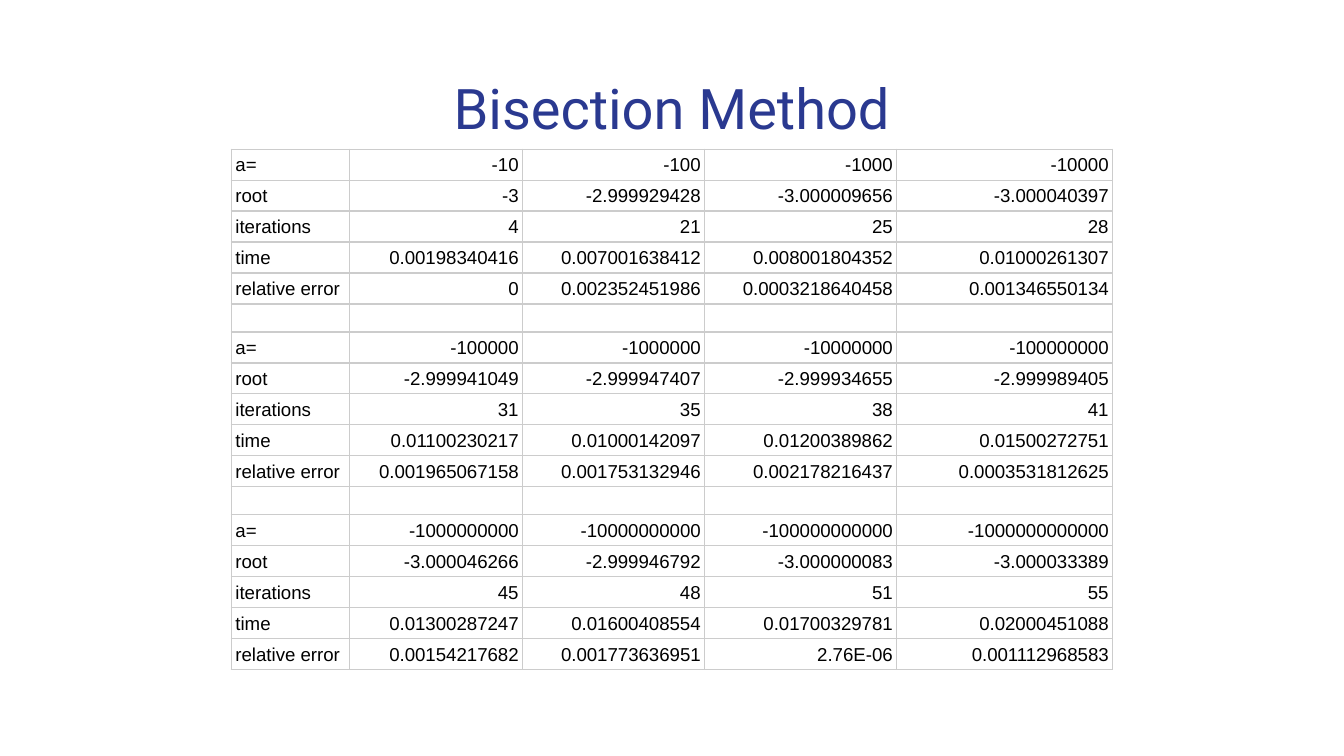
from pptx import Presentation
from pptx.dml.color import RGBColor
from pptx.enum.text import MSO_ANCHOR, PP_ALIGN
from pptx.oxml import parse_xml
from pptx.oxml.ns import nsdecls
from pptx.util import Cm, Pt

# Content
TITLE = "Bisection Method"
LABELS = ["a=", "root", "iterations", "time", "relative error"]
RUNS = [
    [
        ["-10", "-100", "-1000", "-10000"],
        ["-3", "-2.999929428", "-3.000009656", "-3.000040397"],
        ["4", "21", "25", "28"],
        ["0.00198340416", "0.007001638412", "0.008001804352", "0.01000261307"],
        ["0", "0.002352451986", "0.0003218640458", "0.001346550134"],
    ],
    [
        ["-100000", "-1000000", "-10000000", "-100000000"],
        ["-2.999941049", "-2.999947407", "-2.999934655", "-2.999989405"],
        ["31", "35", "38", "41"],
        ["0.01100230217", "0.01000142097", "0.01200389862", "0.01500272751"],
        ["0.001965067158", "0.001753132946", "0.002178216437", "0.0003531812625"],
    ],
    [
        ["-1000000000", "-10000000000", "-100000000000", "-1000000000000"],
        ["-3.000046266", "-2.999946792", "-3.000000083", "-3.000033389"],
        ["45", "48", "51", "55"],
        ["0.01300287247", "0.01600408554", "0.01700329781", "0.02000451088"],
        ["0.00154217682", "0.001773636951", "2.76E-06", "0.001112968583"],
    ],
]
COLORS = {"title": "2A3990", "text": "000000", "grid": "CCCCCC"}
WIDTHS = [2.23, 3.27, 3.44, 3.63, 4.08]
HEIGHT = 0.53
PAD = Cm(0.08)


def add_run(para, text, font, size, color):
    run = para.add_run()
    run.text = text
    run.font.name = font
    run.font.size = Pt(size)
    run.font.color.rgb = RGBColor.from_string(COLORS[color])


def add_grid(cell):
    props = cell._tc.get_or_add_tcPr()
    for i, side in enumerate(("lnL", "lnR", "lnT", "lnB")):
        props.insert(i, parse_xml(
            f'<a:{side} {nsdecls("a")} w="{Pt(0.75)}"><a:solidFill>'
            f'<a:srgbClr val="{COLORS["grid"]}"/></a:solidFill></a:{side}>'))


def fill_cell(cell, text, align):
    cell.fill.background()
    add_grid(cell)
    cell.margin_left, cell.margin_right = PAD, Cm(0.07)
    cell.margin_top = cell.margin_bottom = PAD
    cell.vertical_anchor = MSO_ANCHOR.BOTTOM
    para = cell.text_frame.paragraphs[0]
    para.alignment = align
    if text:
        para.line_spacing = 1.0
        add_run(para, text, "Arial", 10, "text")
    else:
        # A small end mark keeps the empty row at its set height
        para._p.append(parse_xml(f'<a:endParaRPr {nsdecls("a")} sz="800"/>'))


deck = Presentation()
deck.slide_width, deck.slide_height = Cm(25.4), Cm(14.29)
slide = deck.slides.add_slide(deck.slide_layouts[6])

# Title
box = slide.shapes.add_textbox(Cm(0.86), Cm(1.14), Cm(23.67), Cm(1.68))
frame = box.text_frame
frame.word_wrap = True
frame.margin_left = frame.margin_right = Cm(0.25)
frame.margin_top = frame.margin_bottom = Cm(0.25)
frame.vertical_anchor = MSO_ANCHOR.TOP
head = frame.paragraphs[0]
head.alignment = PP_ALIGN.CENTER
add_run(head, TITLE, "Roboto", 30, "title")

# Rows: the groups of results, with an empty row between them
rows = []
for group in RUNS:
    if rows:
        rows.append([""] * len(WIDTHS))
    rows += [[label, *vals] for label, vals in zip(LABELS, group)]

# Table
shape = slide.shapes.add_table(
    len(rows), len(WIDTHS), Cm(4.37), Cm(2.82),
    Cm(sum(WIDTHS)), Cm(HEIGHT * len(rows)))
table = shape.table
table.first_row = table.horz_banding = False
for col, width in zip(table.columns, WIDTHS):
    col.width = Cm(width)
for r, row in enumerate(rows):
    table.rows[r].height = Cm(HEIGHT)
    for c, text in enumerate(row):
        align = PP_ALIGN.RIGHT if c else PP_ALIGN.LEFT
        fill_cell(table.cell(r, c), text, align)

deck.save("out.pptx")
